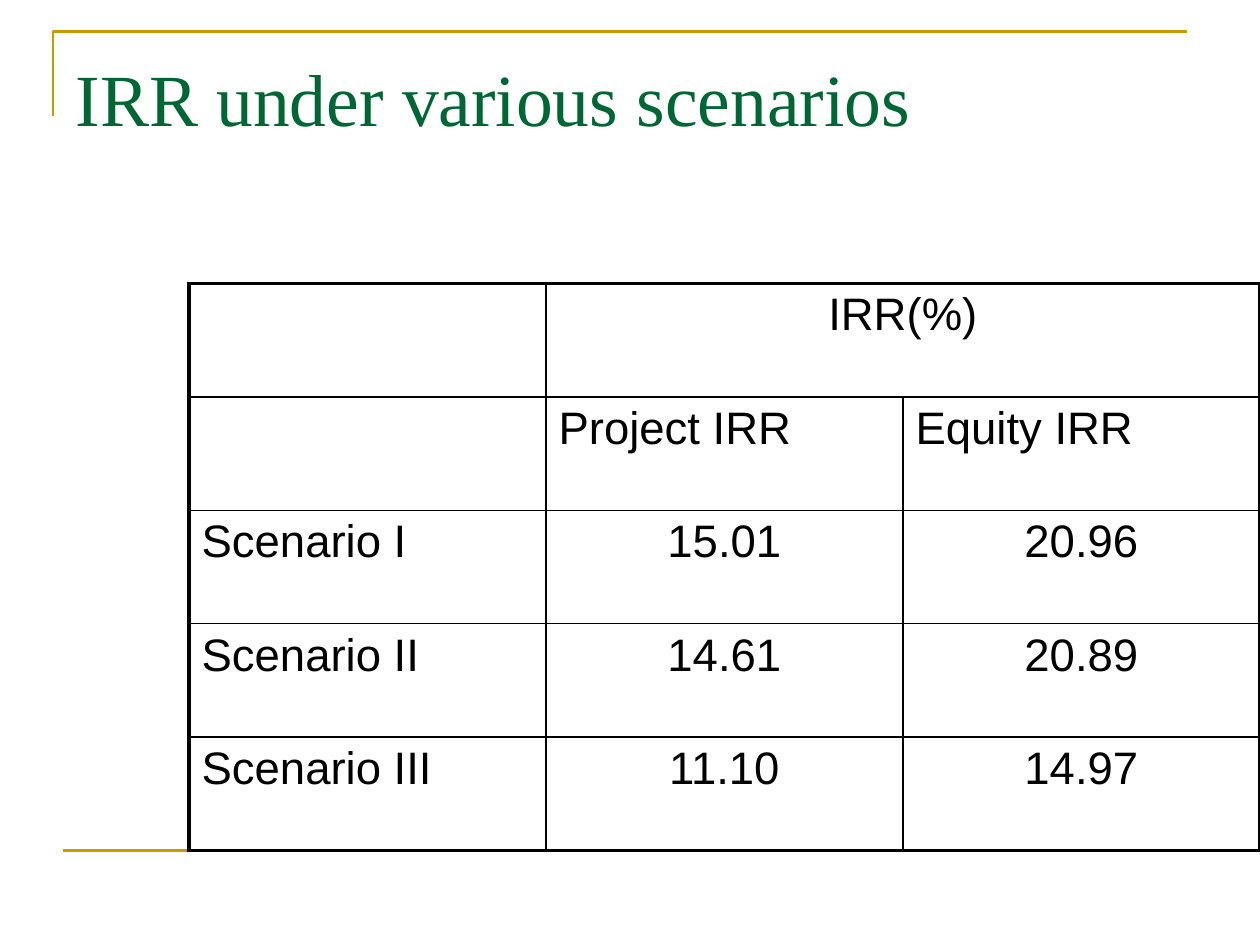
"""Build the slide with the table of IRR under various scenarios."""
import pptx
import pptx.dml.color
import pptx.enum.text
import pptx.oxml
import pptx.oxml.ns
import pptx.util
from dataclasses import dataclass
from pptx.util import Inches


@dataclass(frozen=True)
class Theme:
    title: str = "006633"
    accent: str = "CC9900"
    ink: str = "000000"
    title_font: str = "Times New Roman"
    body_font: str = "Arial"
    title_size: float = 42
    body_size: float = 26
    rule: float = 1.5
    outer: float = 2.25
    inner: float = 1


theme = Theme()
NS = pptx.oxml.ns.nsdecls("a")


def style_font(font, name, size, color):
    font.name = name
    font.size = pptx.util.Pt(size)
    font.color.rgb = pptx.dml.color.RGBColor.from_string(color)


def set_borders(cell, widths):
    for i, (side, width) in enumerate(widths.items()):
        ln = pptx.oxml.parse_xml(
            f'<a:ln{side} {NS} w="{pptx.util.Pt(width)}"><a:solidFill>'
            f'<a:srgbClr val="{theme.ink}"/></a:solidFill></a:ln{side}>')
        cell._tc.get_or_add_tcPr().insert(i, ln)


prs = pptx.Presentation()
prs.slide_width, prs.slide_height = Inches(10), Inches(7.5)
s = prs.slides.add_slide(prs.slide_layouts[5])

fb = s.shapes.build_freeform(Inches(0.42), Inches(0.92))
fb.add_line_segments([(Inches(0.42), Inches(0.25)), (Inches(9.42), Inches(0.25))], close=False)
corner = fb.convert_to_shape()
corner.shadow.inherit = False
corner.fill.background()

footer = s.shapes.add_connector(1, Inches(0.5), Inches(6.75), Inches(9.5), Inches(6.75))
footer._element.spPr.append(pptx.oxml.parse_xml(f"<a:effectLst {NS}/>"))

for sp in (corner, footer):
    sp.line.color.rgb = pptx.dml.color.RGBColor.from_string(theme.accent)
    sp.line.width = pptx.util.Pt(theme.rule)

title = s.shapes.title
title.left, title.top, title.width, title.height = (Inches(v) for v in (0.5, 0.3, 9, 1.25))
tf = title.text_frame
tf.text = "IRR under various scenarios"
tf.auto_size = pptx.enum.text.MSO_AUTO_SIZE.NONE
tf.vertical_anchor = pptx.enum.text.MSO_ANCHOR.TOP
tf.margin_top = Inches(0.12)
p = tf.paragraphs[0]
p.alignment = pptx.enum.text.PP_ALIGN.LEFT
style_font(p.runs[0].font, theme.title_font, theme.title_size, theme.title)

rows = [
    ["", "IRR(%)", ""],
    ["", "Project IRR", "Equity IRR"],
    ["Scenario I", "15.01", "20.96"],
    ["Scenario II", "14.61", "20.89"],
    ["Scenario III", "11.10", "14.97"],
]
last_row, last_col = len(rows) - 1, len(rows[0]) - 1
table = s.shapes.add_table(len(rows), len(rows[0]), Inches(1.5), Inches(2.25),
                           Inches(8.5), Inches(4.5)).table
table.first_row = table.horz_banding = False
table.cell(0, 1).merge(table.cell(0, 2))

for i, row in enumerate(rows):
    for j, text in enumerate(row):
        cell = table.cell(i, j)
        cell.fill.background()
        set_borders(cell, {
            "L": theme.outer if j == 0 else theme.inner,
            "R": theme.outer if j == last_col or cell.is_merge_origin else theme.inner,
            "T": theme.outer if i == 0 else theme.inner,
            "B": theme.outer if i == last_row else theme.inner,
        })
        p = cell.text_frame.paragraphs[0]
        p.text = text
        style_font(p.font, theme.body_font, theme.body_size, theme.ink)
        if j > 0 and i != 1:
            p.alignment = pptx.enum.text.PP_ALIGN.CENTER
        for r in p.runs:
            style_font(r.font, theme.body_font, theme.body_size, theme.ink)

prs.save("out.pptx")
